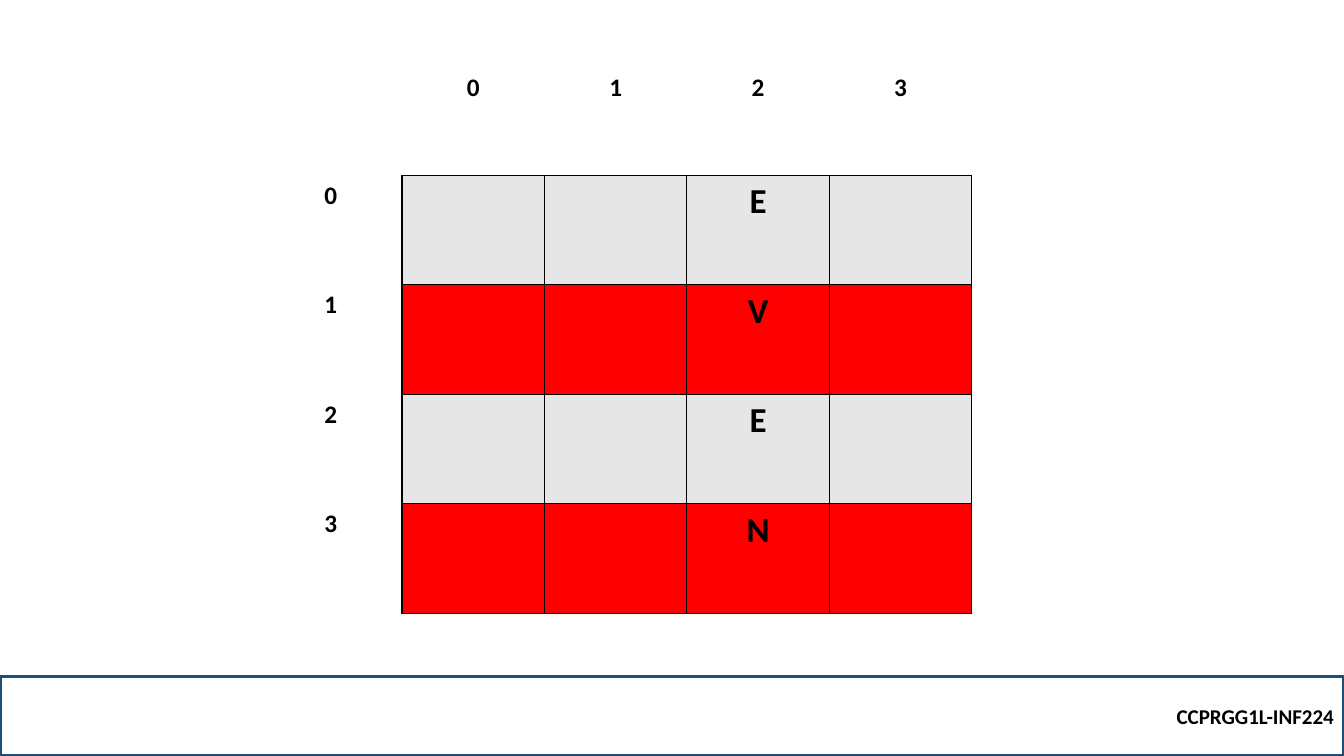
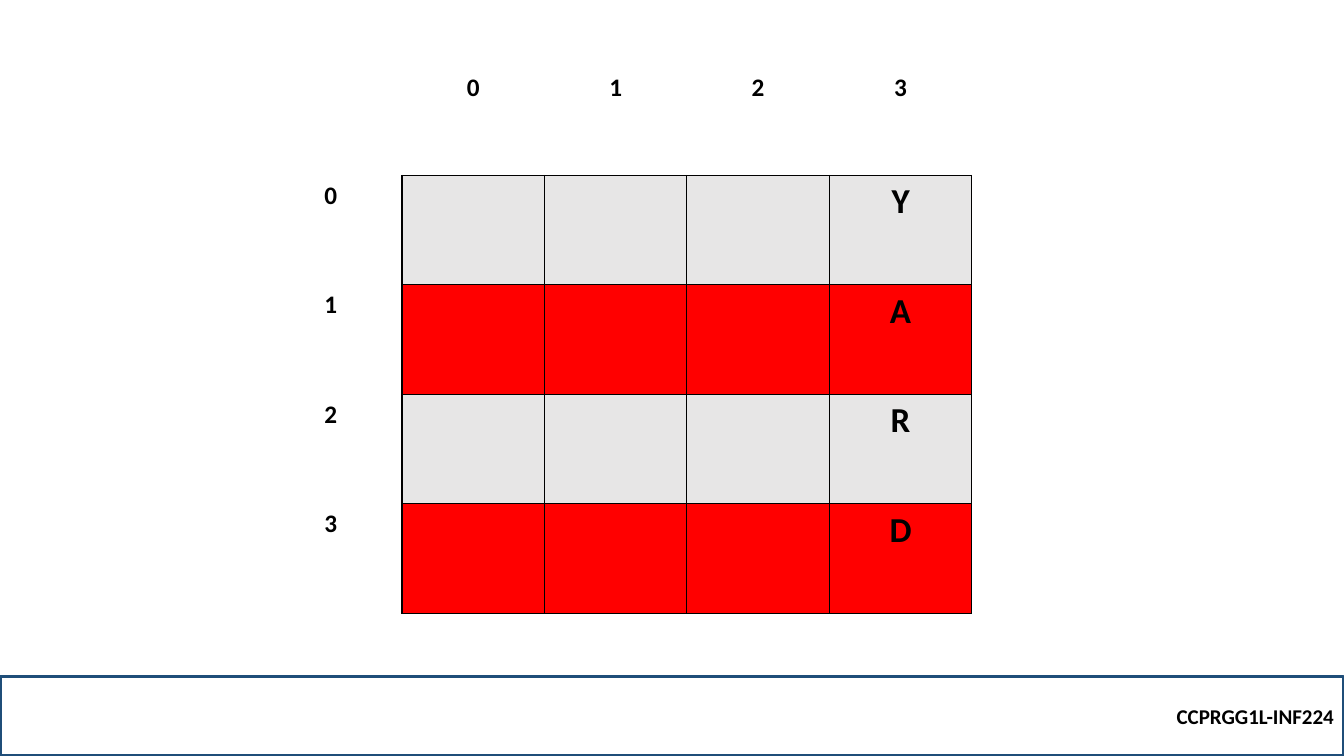
from pptx import Presentation
from pptx.dml.color import RGBColor
from pptx.enum.shapes import MSO_SHAPE
from pptx.enum.text import MSO_ANCHOR, PP_ALIGN
from pptx.oxml import parse_xml
from pptx.oxml.ns import nsdecls
from pptx.util import Cm, Pt

BLACK = RGBColor(0, 0, 0)
NAVY = RGBColor(0x1F, 0x4E, 0x79)
GRAY = RGBColor(0xE7, 0xE6, 0xE6)
RED = RGBColor(0xFF, 0, 0)
SIZE = 4
WORDS = [("EVEN", 3), ("YARD", 4)]


def write(frame, text, size, align):
    frame.text = text
    par = frame.paragraphs[0]
    par.alignment = align
    for run in par.runs:
        run.font.name = "Calibri"
        run.font.size = Pt(size)
        run.font.bold = True
        run.font.color.rgb = BLACK


def border(cell, sides):
    props = cell._tc.get_or_add_tcPr()
    for side in "LRTB":
        fill = "<a:noFill/>"
        if side in sides:
            fill = f'<a:solidFill><a:srgbClr val="{BLACK}"/></a:solidFill>'
        props.append(parse_xml(
            f'<a:ln{side} {nsdecls("a")} w="{Pt(1)}">{fill}</a:ln{side}>'))


deck = Presentation()
deck.slide_width = Cm(33.87)
deck.slide_height = Cm(19.05)

for word, place in WORDS:
    slide = deck.slides.add_slide(deck.slide_layouts[6])

    band = slide.shapes.add_shape(
        MSO_SHAPE.RECTANGLE, 0, Cm(17.05), deck.slide_width, Cm(2))
    band.shadow.inherit = False
    band.fill.background()
    band.line.color.rgb = NAVY
    band.line.width = Pt(2.25)
    band.text_frame.vertical_anchor = MSO_ANCHOR.MIDDLE
    write(band.text_frame, "CCPRGG1L-INF224", 15, PP_ALIGN.RIGHT)

    grid = slide.shapes.add_table(
        SIZE + 1, SIZE + 1, Cm(6.54), Cm(1.7), Cm(17.95), Cm(13.74)).table
    grid.first_row = False
    grid.horz_banding = False
    for col in grid.columns:
        col.width = Cm(3.59)
    for i, row in enumerate(grid.rows):
        row.height = Cm(2.76 if i else 2.72)
        for j, cell in enumerate(row.cells):
            if i and j:
                border(cell, "LRTB")
                cell.fill.solid()
                cell.fill.fore_color.rgb = GRAY if i % 2 else RED
                if j == place:
                    write(cell.text_frame, word[i - 1], 25, PP_ALIGN.CENTER)
            else:
                border(cell, "R" if i else "B" if j else "")
                cell.fill.background()
                if i or j:
                    write(cell.text_frame, str(i + j - 1), 18, PP_ALIGN.CENTER)

deck.save("out.pptx")
